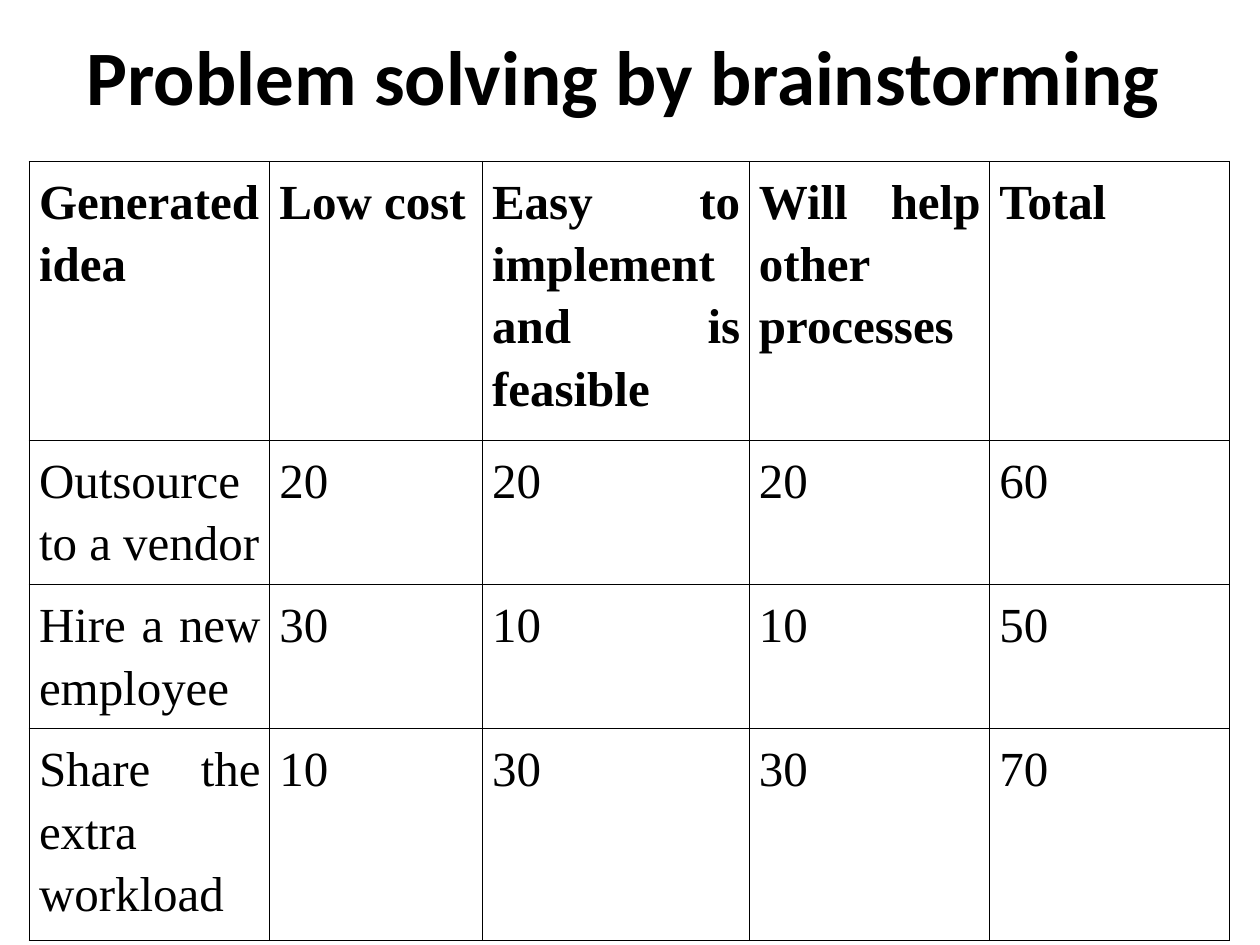
import pptx
import pptx.dml.color
import pptx.enum.text
import pptx.oxml
import pptx.oxml.ns
import pptx.util
from dataclasses import dataclass

Inches = pptx.util.Inches
Pt = pptx.util.Pt
ALIGN = pptx.enum.text.PP_ALIGN
ANCHOR = pptx.enum.text.MSO_ANCHOR


@dataclass(frozen=True)
class Theme:
    ink: str = "000000"
    heading_font: str = "Calibri"
    body_font: str = "Times New Roman"
    heading_size: float = 44
    body_size: float = 28
    rule_width: float = 0.45


THEME = Theme()
CRITERIA = ["Low cost", "Easy to implement and is feasible", "Will help other processes"]
IDEA_SCORES = {
    "Outsource to a vendor": [20, 20, 20],
    "Hire a new employee ": [30, 10, 10],
    "Share the extra workload": [10, 30, 30],
}
COLUMN_WIDTHS = [1.91, 1.69, 2.12, 1.91, 1.91]
# Each row is tall enough for its wrapped lines, so none has to grow
ROW_HEIGHTS = [2.14, 1.09, 1.09, 1.6]


def apply_format(target, values):
    for attribute, value in values.items():
        setattr(target, attribute, value)


def write_text(frame, text, font, paragraph_format):
    paragraph = frame.paragraphs[0]
    apply_format(paragraph, paragraph_format)
    run = paragraph.add_run()
    run.text = text
    apply_format(run.font, font)
    run.font.color.rgb = pptx.dml.color.RGBColor.from_string(THEME.ink)


def draw_borders(cell):
    properties = cell._tc.get_or_add_tcPr()
    for position, side in enumerate(("lnL", "lnR", "lnT", "lnB")):
        border = pptx.oxml.parse_xml(
            f'<a:{side} {pptx.oxml.ns.nsdecls("a")} w="{Pt(THEME.rule_width)}">'
            f'<a:solidFill><a:srgbClr val="{THEME.ink}"/></a:solidFill></a:{side}>'
        )
        properties.insert(position, border)


# Heading across the top
def add_heading(slide, left, top, width, height):
    heading = slide.shapes.add_textbox(left, top, width, height).text_frame
    apply_format(heading, {"word_wrap": True, "vertical_anchor": ANCHOR.MIDDLE})
    font = {"name": THEME.heading_font, "size": Pt(THEME.heading_size), "bold": True}
    write_text(heading, "Problem solving by brainstorming", font, {"alignment": ALIGN.CENTER})


# Scores of each idea against the criteria
def add_score_table(slide, left, top, width, height):
    rows = [["Generated idea", *CRITERIA, "Total"]]
    rows += [[idea, *scores, sum(scores)] for idea, scores in IDEA_SCORES.items()]
    table = slide.shapes.add_table(len(rows), len(rows[0]), left, top, width, height).table
    apply_format(table, {"first_row": False, "horz_banding": False})
    for column, share in zip(table.columns, COLUMN_WIDTHS):
        column.width = int(width * share / sum(COLUMN_WIDTHS))
    for row, share in zip(table.rows, ROW_HEIGHTS):
        row.height = int(height * share / sum(ROW_HEIGHTS))

    margins = {
        "margin_left": Inches(0.08), "margin_right": Inches(0.07),
        "margin_top": Inches(0.05), "margin_bottom": Inches(0.02),
    }
    paragraph_format = {"alignment": ALIGN.JUSTIFY, "line_spacing": 1.15}
    for row_index, row in enumerate(rows):
        font = {"name": THEME.body_font, "size": Pt(THEME.body_size), "bold": row_index == 0}
        for column_index, value in enumerate(row):
            cell = table.cell(row_index, column_index)
            apply_format(cell, margins)
            cell.fill.background()
            draw_borders(cell)
            write_text(cell.text_frame, str(value), font, paragraph_format)


def main():
    deck = pptx.Presentation()
    apply_format(deck, {"slide_width": Inches(10), "slide_height": Inches(7.5)})
    slide = deck.slides.add_slide(deck.slide_layouts[6])
    add_heading(slide, Inches(0.45), Inches(0.08), Inches(9), Inches(1.02))
    add_score_table(slide, Inches(0.23), Inches(1.28), Inches(9.53), Inches(5.92))
    deck.save("out.pptx")


if __name__ == "__main__":
    main()
